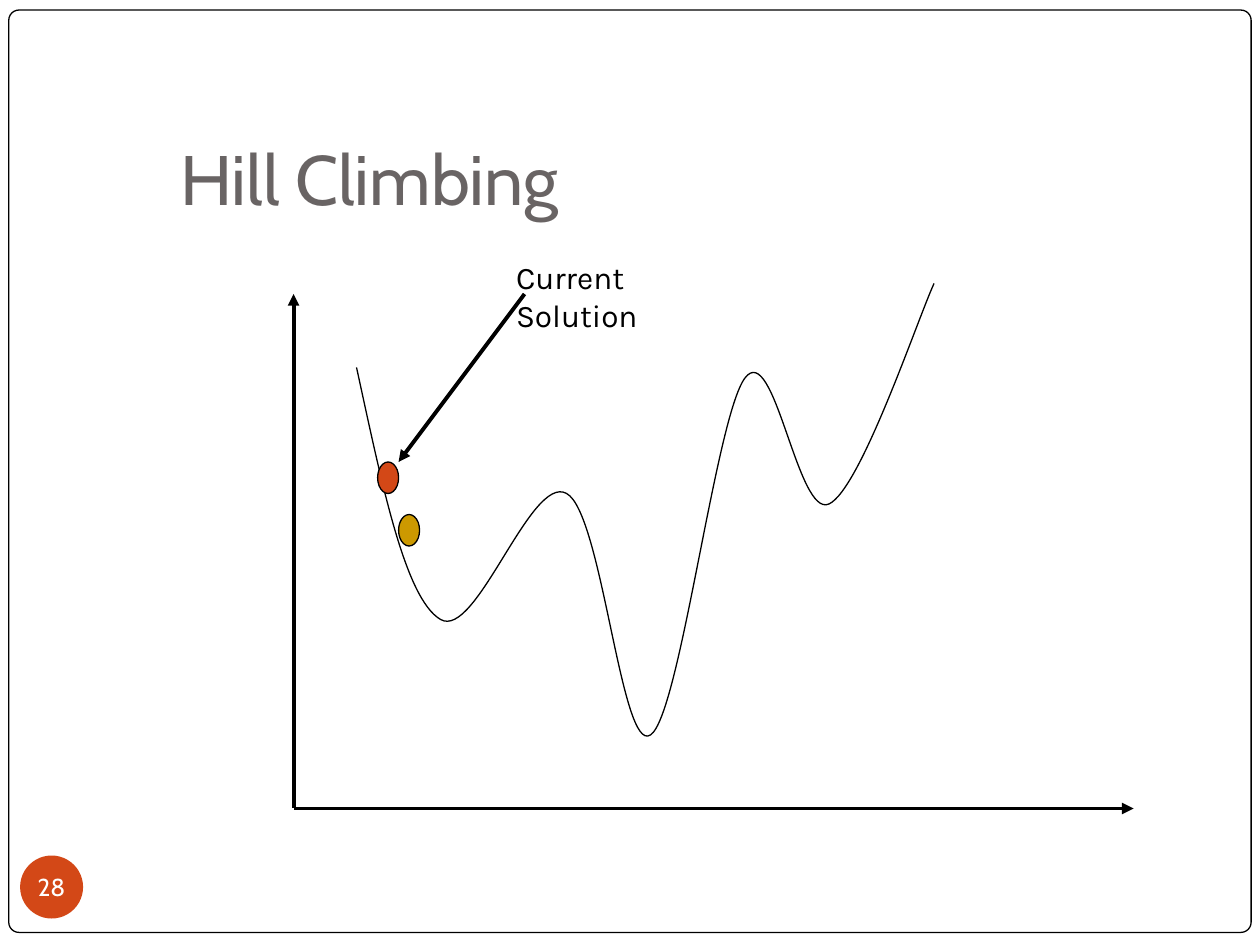
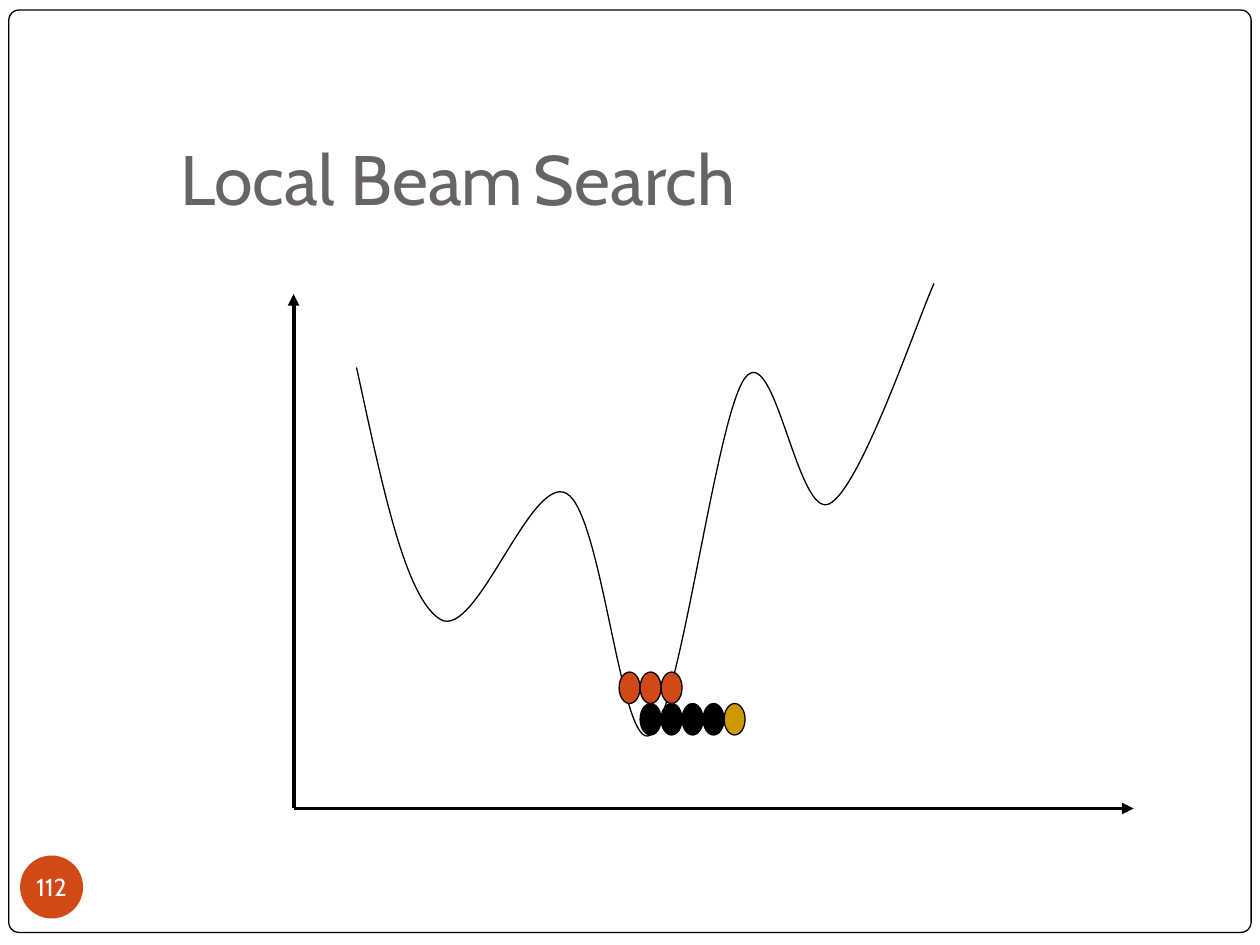
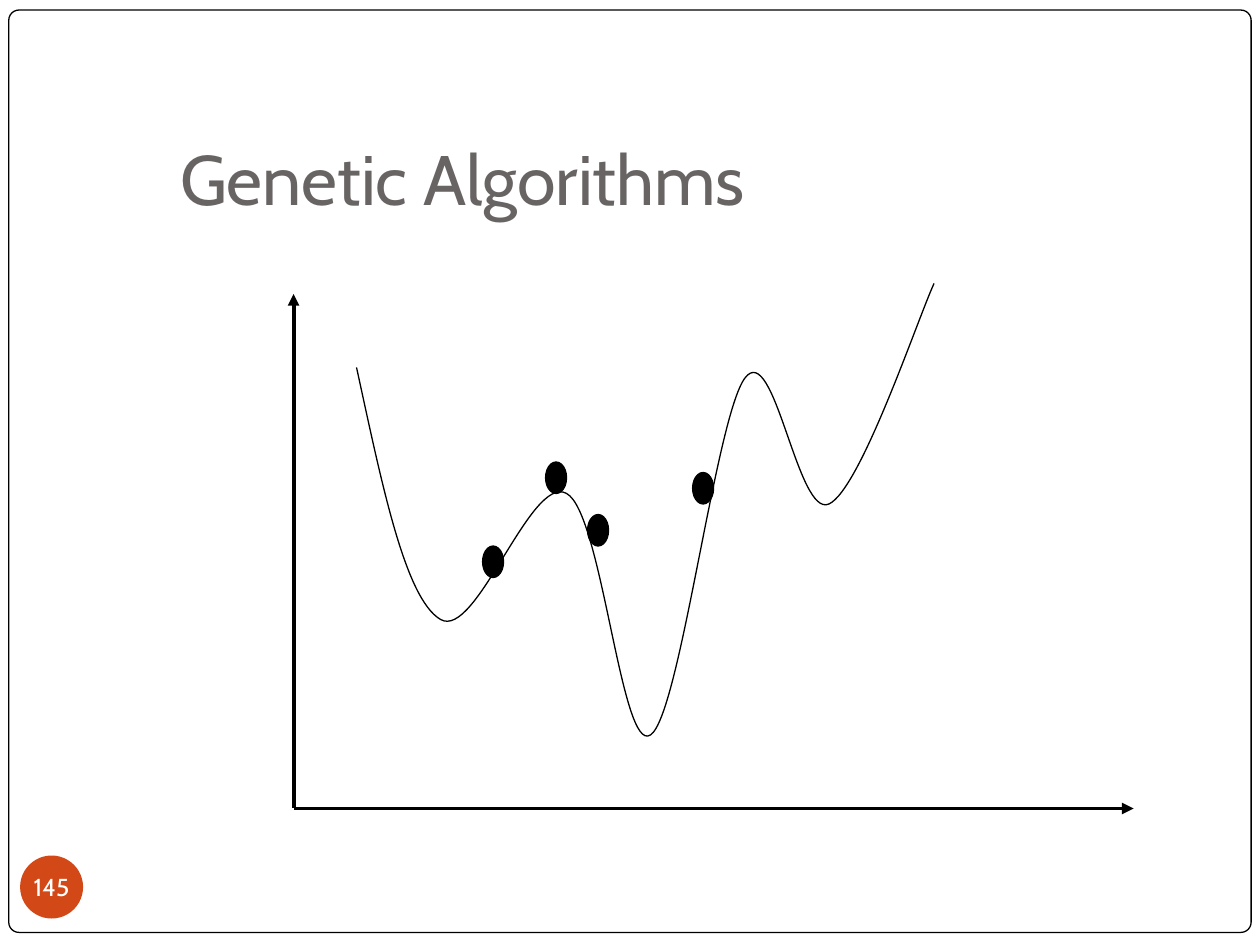
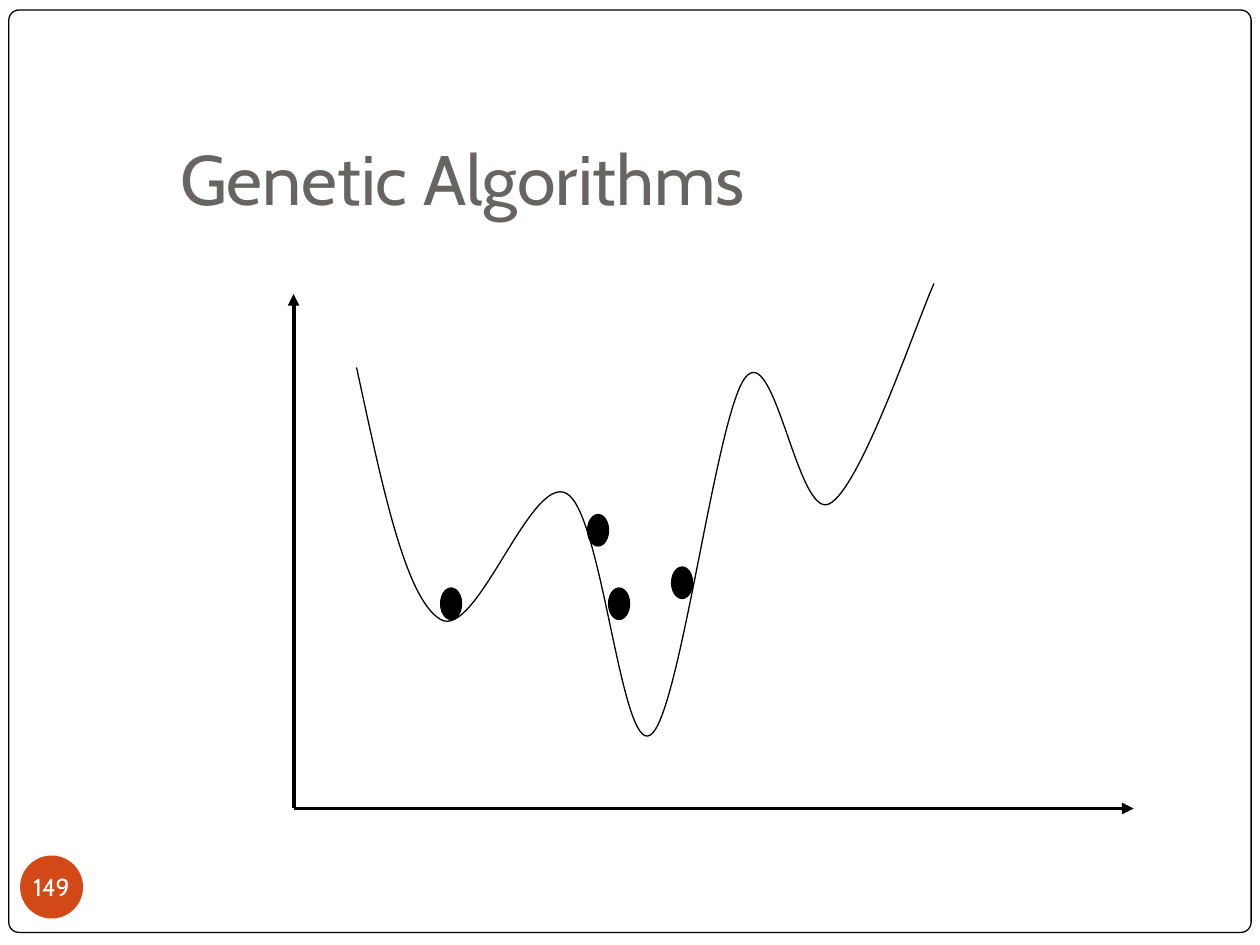
from dataclasses import dataclass

from lxml.etree import SubElement
from pptx import Presentation
from pptx.dml.color import RGBColor as Rgb
from pptx.enum.shapes import MSO_CONNECTOR as Connector, MSO_SHAPE as Preset
from pptx.enum.text import MSO_ANCHOR as Anchor, MSO_AUTO_SIZE as AutoSize, PP_ALIGN as Align
from pptx.oxml.ns import qn
from pptx.util import Inches, Pt


@dataclass(frozen=True)
class Theme:
    white: Rgb = Rgb.from_string("FFFFFF")
    black: Rgb = Rgb.from_string("000000")
    title: Rgb = Rgb.from_string("696464")
    title_gap: Rgb = Rgb.from_string("9B2D1F")
    red: Rgb = Rgb.from_string("D34817")
    gold: Rgb = Rgb.from_string("CC9900")
    heading_font: str = "Cabin"
    label_font: str = "Karla"
    title_size: Pt = Pt(40)
    gap_size: Pt = Pt(28)
    label_size: Pt = Pt(18)
    number_size: Pt = Pt(14)
    thin: Pt = Pt(0.75)
    thick: Pt = Pt(2.25)


THEME = Theme()


@dataclass(frozen=True)
class Plot:
    """Box of the cost landscape, measured on a fine square grid."""
    left: int
    top: int
    step: int
    columns: int
    rows: int

    def at(self, column, row):
        return round(self.left + column * self.step), round(self.top + row * self.step)


PLOT = Plot(Inches(2.33), Inches(2.25), Inches(1 / 12), columns=80, rows=50)
TITLE_BOX = Inches(1.33), Inches(0.94), Inches(8.52), Inches(0.9)
FRAME_BOX = Inches(0.07), Inches(0.08), Inches(9.86), Inches(7.32)
NUMBER_BOX = Inches(0.16), Inches(6.79), Inches(0.5), Inches(0.5)

# Each curve piece: two control points and an end point, in grid steps
CURVE_START = (6, 8)
CURVE_PIECES = [
    ((8.4, 19), (10.6, 30), (14, 32)),
    ((17.4, 34), (22.6, 18.1), (26, 20)),
    ((29.4, 21.8), (31.2, 44.9), (34, 43)),
    ((36.8, 41.2), (40.2, 12.7), (43, 9)),
    ((45.8, 5.3), (48, 22.4), (51, 21)),
    ((54, 19.6), (59.4, 3.5), (61, 0)),
]


# Basic parts
def add_filled(slide, preset, box, fill, outline=None):
    shape = slide.shapes.add_shape(preset, *box)
    shape.shadow.inherit = False
    shape.fill.solid()
    shape.fill.fore_color.rgb = fill
    if outline is None:
        shape.line.fill.background()
    else:
        shape.line.color.rgb = outline
        shape.line.width = THEME.thin
    return shape


def set_font(font, name, size, color):
    font.name, font.size, font.color.rgb = name, size, color


def add_arrow(slide, start, end, tip="tailEnd"):
    arrow = slide.shapes.add_connector(Connector.STRAIGHT, *start, *end)
    arrow.line.color.rgb = THEME.black
    arrow.line.width = THEME.thick
    properties = arrow.element.spPr
    SubElement(properties.find(qn("a:ln")), qn(f"a:{tip}"), type="triangle")
    SubElement(properties, qn("a:effectLst"))


# Shared frame, held by the layout
def move_frame_to_layout(slide):
    frame = add_filled(slide, Preset.ROUNDED_RECTANGLE, FRAME_BOX, THEME.white, THEME.black)
    frame.adjustments[0] = 0.011
    slide.slide_layout.shapes.element.insert(2, frame.element)


def add_title(slide, box, parts):
    title = slide.shapes.title
    title.left, title.top, title.width, title.height = box
    text = title.text_frame
    text.auto_size = AutoSize.NONE
    text.word_wrap = True
    text.vertical_anchor = Anchor.BOTTOM
    text.margin_left = text.margin_right = text.margin_bottom = Inches(0.1)
    text.margin_top = Inches(0.05)
    paragraph = text.paragraphs[0]
    paragraph.alignment = Align.LEFT
    set_font(paragraph.font, THEME.heading_font, THEME.title_size, THEME.title)
    for part in parts:
        run = paragraph.add_run()
        run.text = part
        if part == " ":
            set_font(run.font, THEME.heading_font, THEME.gap_size, THEME.title_gap)
            run.font.italic = True
        else:
            set_font(run.font, THEME.heading_font, THEME.title_size, THEME.title)


def add_number(slide, box, number):
    badge = add_filled(slide, Preset.OVAL, box, THEME.red)
    text = badge.text_frame
    text.margin_left = text.margin_right = text.margin_top = text.margin_bottom = 0
    text.vertical_anchor = Anchor.MIDDLE
    text.word_wrap = False
    text.text = str(number)
    paragraph = text.paragraphs[0]
    paragraph.alignment = Align.CENTER
    set_font(paragraph.font, THEME.heading_font, THEME.number_size, THEME.white)


# Cost landscape
def add_curve(slide, plot):
    builder = slide.shapes.build_freeform(*plot.at(*CURVE_START))
    builder.add_line_segments(
        [plot.at(*point) for piece in CURVE_PIECES for point in piece], close=False)
    curve = builder.convert_to_shape()
    curve.shadow.inherit = False
    curve.fill.background()
    curve.line.color.rgb = THEME.black
    curve.line.width = THEME.thin
    # Join every three straight segments into one Bézier piece
    segments = list(curve.element.iter(qn("a:lnTo")))
    for first in range(0, len(segments), 3):
        outline = segments[first].getparent()
        bezier = SubElement(outline, qn("a:cubicBezTo"))
        for segment in segments[first:first + 3]:
            bezier.append(segment[0])
            outline.remove(segment)


def add_landscape(slide, plot):
    origin = plot.at(0, plot.rows)
    add_arrow(slide, plot.at(0, 1), origin, tip="headEnd")
    add_arrow(slide, origin, plot.at(plot.columns, plot.rows))
    add_curve(slide, plot)


def add_solutions(slide, plot, color, cells):
    for cell in cells:
        box = *plot.at(*cell), 2 * plot.step, 3 * plot.step
        add_filled(slide, Preset.OVAL, box, color, THEME.black)


def add_pointer(slide, plot, label):
    add_arrow(slide, plot.at(22, 1), plot.at(10, 17))
    caption = slide.shapes.add_textbox(*plot.at(20, -3), 14 * plot.step, Inches(0.7))
    text = caption.text_frame
    text.word_wrap = True
    text.text = label
    set_font(text.paragraphs[0].font, THEME.label_font, THEME.label_size, THEME.black)


def add_search_slide(deck, number, title, solutions, label=None):
    slide = deck.slides.add_slide(deck.slide_layouts.get_by_name("Title Only"))
    add_title(slide, TITLE_BOX, title)
    add_number(slide, NUMBER_BOX, number)
    add_landscape(slide, PLOT)
    for color, cells in solutions:
        add_solutions(slide, PLOT, color, cells)
    if label:
        add_pointer(slide, PLOT, label)
    return slide


def main():
    deck = Presentation()
    deck.slide_width, deck.slide_height = Inches(10), Inches(7.5)

    hill_climbing = add_search_slide(
        deck, 28, ["Hill Climbing"],
        [(THEME.gold, [(10, 22)]), (THEME.red, [(8, 17)])],
        label="Current Solution")
    move_frame_to_layout(hill_climbing)

    add_search_slide(
        deck, 112, ["Local Beam", " ", "Search"],
        [(THEME.red, [(column, 37) for column in range(31, 36, 2)]),
         (THEME.black, [(column, 40) for column in range(33, 40, 2)]),
         (THEME.gold, [(41, 40)])])

    generations = {
        145: [(24, 17), (18, 25), (28, 22), (38, 18)],
        149: [(28, 22), (14, 29), (30, 29), (36, 27)],
    }
    for number, population in generations.items():
        add_search_slide(deck, number, ["Genetic Algorithms"], [(THEME.black, population)])

    deck.save("out.pptx")


if __name__ == "__main__":
    main()
